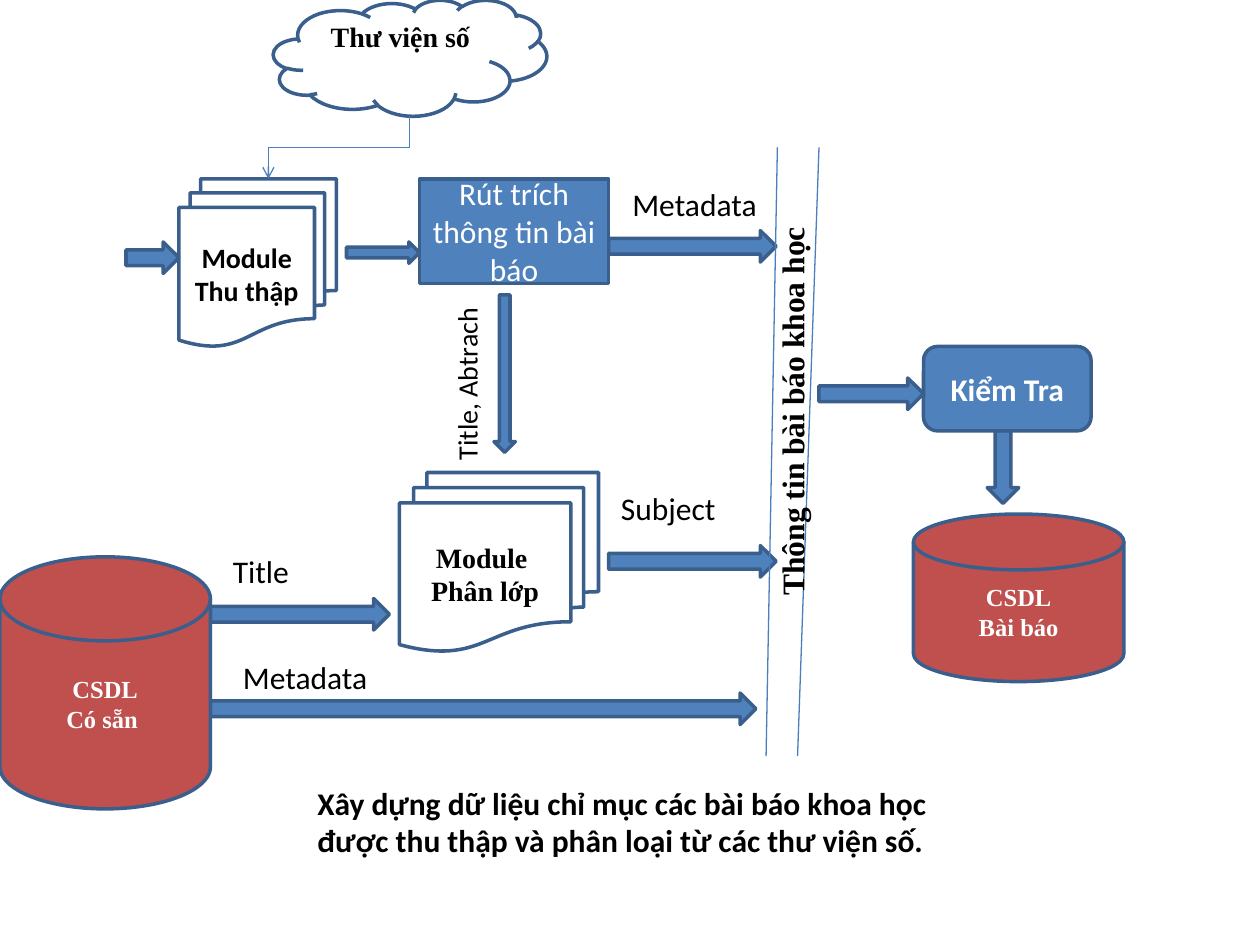
from dataclasses import dataclass

from lxml import etree
from pptx import Presentation
from pptx.dml.color import RGBColor
from pptx.enum import shapes, text
from pptx.oxml import ns
from pptx.util import Inches, Pt


@dataclass(frozen=True)
class Theme:
    blue: str = "4F81BD"
    red: str = "C0504D"
    edge: str = "3A5F8C"
    wire: str = "4B7EBC"
    dark: str = "000000"
    light: str = "FFFFFF"
    sans: str = "Calibri"
    serif: str = "Times New Roman"
    small: int = 14
    mid: int = 16
    large: int = 18


look = Theme()
kind = shapes.MSO_SHAPE


def write(frame, words, size=look.large, font=look.sans, color=look.dark,
          bold=False, align=text.PP_ALIGN.LEFT, wrap=True):
    """Put one paragraph per line of words into the frame."""
    frame.word_wrap = wrap
    for i, line in enumerate(words.split("\n")):
        para = frame.add_paragraph() if i else frame.paragraphs[0]
        para.alignment = align
        run = para.add_run()
        run.text = line
        run.font.size, run.font.name, run.font.bold = Pt(size), font, bold
        run.font.color.rgb = RGBColor.from_string(color)


def draw(form, box, fill=None, turn=0):
    """Add an outlined shape; without a fill it stays clear."""
    shape = slide.shapes.add_shape(form, *map(Inches, box))
    shape.shadow.inherit = False
    shape.rotation = turn
    if fill:
        shape.fill.solid()
        shape.fill.fore_color.rgb = RGBColor.from_string(fill)
    else:
        shape.fill.background()
    shape.line.color.rgb = RGBColor.from_string(look.edge)
    shape.line.width = Pt(2)
    return shape


deck = Presentation()
deck.slide_width, deck.slide_height = Inches(10), Inches(7.5)
slide = deck.slides.add_slide(deck.slide_layouts[6])

# Block arrows: left, top, length, thickness, turn
arrows = [
    (1, 1.92, 0.42, 0.25, 0),
    (2.75, 1.92, 0.58, 0.17, 0),
    (4.83, 1.83, 1.33, 0.25, 0),
    (4.83, 4.33, 1.33, 0.25, 0),
    (6.5, 3, 0.83, 0.25, 0),
    (1.67, 4.75, 1.42, 0.25, 0),
    (1.67, 5.5, 4.33, 0.25, 0),
    (3.38, 2.88, 1.25, 0.17, 90),
    (7.67, 3.58, 0.58, 0.25, 90),
]
for *box, turn in arrows:
    draw(kind.RIGHT_ARROW, box, look.blue, turn)

# Nodes: form, box, fill, words, size, font, bold
docs, disk = kind.FLOWCHART_MULTIDOCUMENT, kind.FLOWCHART_MAGNETIC_DISK
nodes = [
    (docs, (1.42, 1.42, 1.25, 1.33), None, "Module Thu thập",
     look.mid, look.sans, True),
    (docs, (3.17, 3.75, 1.58, 1.42), None, "Module \nPhân lớp",
     look.mid, look.serif, True),
    (disk, (7.25, 4.08, 1.67, 1.33), look.red, "CSDL\nBài báo",
     look.small, look.serif, True),
    (disk, (0, 4.42, 1.67, 2), look.red, "CSDL\nCó sẵn ",
     look.small, look.serif, True),
    (kind.CLOUD, (2.17, 0, 2.17, 0.92), None, "Thư viện số",
     look.mid, look.serif, True),
    (kind.FLOWCHART_ALTERNATE_PROCESS, (7.33, 2.75, 1.33, 0.67), look.blue,
     "Kiểm Tra", look.large, look.sans, True),
    (kind.RECTANGLE, (3.33, 1.42, 1.5, 0.83), look.blue,
     "Rút trích thông tin bài báo", look.large, look.sans, False),
]
for form, box, fill, words, size, font, bold in nodes:
    node = draw(form, box, fill)
    node.text_frame.vertical_anchor = text.MSO_ANCHOR.MIDDLE
    if form == kind.CLOUD:
        node.text_frame.margin_bottom = Inches(0.35)
    write(node.text_frame, words, size, font,
          look.light if fill else look.dark, bold, text.PP_ALIGN.CENTER)

# Thin lines: the two sides of the channel, and the cloud's elbow,
# which is laid out sideways and turned a quarter
line, bent = shapes.MSO_CONNECTOR.STRAIGHT, shapes.MSO_CONNECTOR.ELBOW
wires = [
    (line, (6.17, 1.17, 6.08, 6)),
    (line, (6.5, 1.17, 6.33, 6)),
    (bent, (2.44, 0.61, 2.94, 1.73)),
]
for form, ends in wires:
    wire = slide.shapes.add_connector(form, *map(Inches, ends))
    wire.line.color.rgb = RGBColor.from_string(look.wire)
    wire.line.width = Pt(0.75)
    props = wire._element.spPr
    if form == bent:
        props.find(ns.qn("a:xfrm")).set("rot", str(90 * 60000))
        etree.SubElement(props.find(ns.qn("a:ln")), ns.qn("a:tailEnd"),
                         type="arrow")
    etree.SubElement(props, ns.qn("a:effectLst"))

# Labels: box, turn, words, format
labels = [
    ((4.92, 1.42, 1.75, 0.4), 0, "Metadata", {}),
    ((4.83, 3.83, 1.25, 0.4), 0, "Subject", {}),
    ((1.75, 4.33, 1.25, 0.4), 0, "Title", {}),
    ((1.83, 5.17, 1.75, 0.4), 0, "Metadata", {}),
    ((2.87, 2.73, 1.67, 0.37), 270, "Title, Abtrach", {"size": look.mid}),
    ((4.62, 2.96, 3.33, 0.4), 270, "Thông tin bài báo khoa học",
     {"font": look.serif, "bold": True}),
    ((2.42, 6.17, 5.26, 0.71), 0,
     "Xây dựng dữ liệu chỉ mục các bài báo khoa học\n"
     "được thu thập và phân loại từ các thư viện số.",
     {"bold": True, "wrap": False}),
]
for box, turn, words, style in labels:
    label = slide.shapes.add_textbox(*map(Inches, box))
    label.rotation = turn
    label.text_frame.auto_size = text.MSO_AUTO_SIZE.SHAPE_TO_FIT_TEXT
    write(label.text_frame, words, **style)

deck.save("out.pptx")
